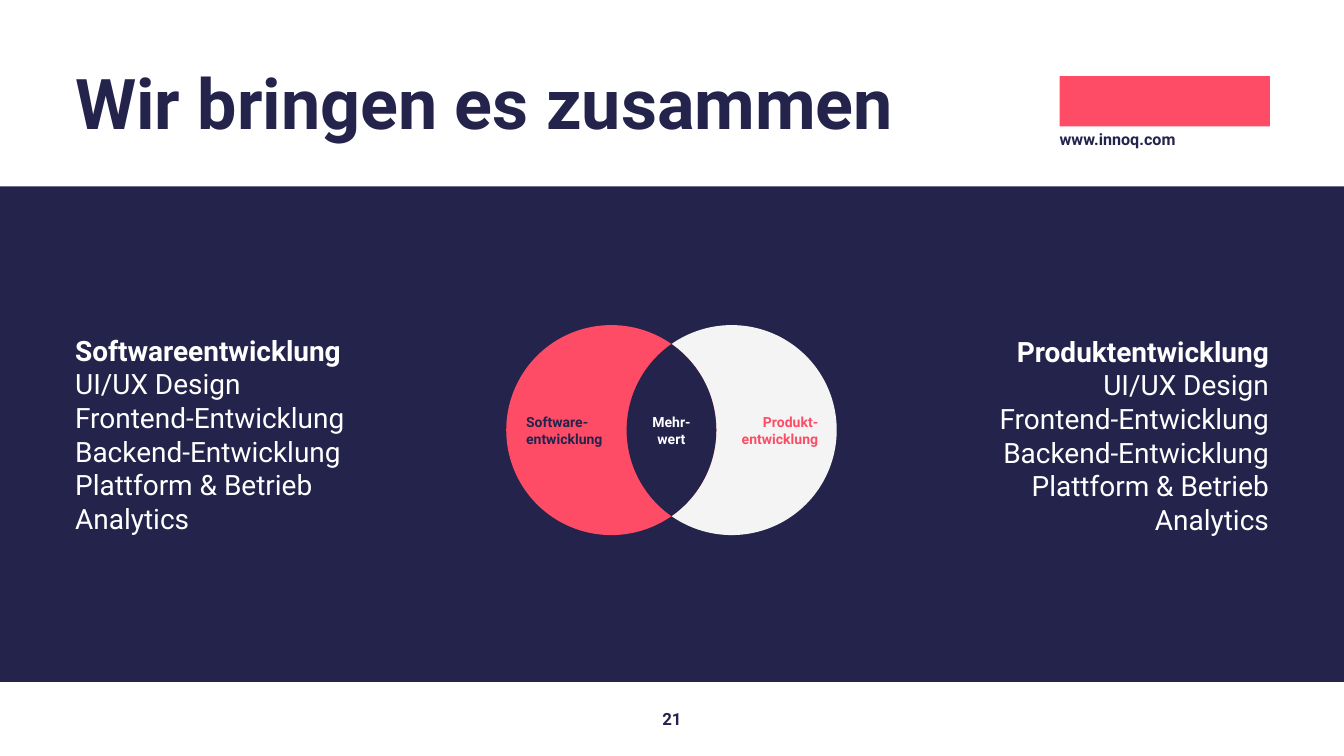
"""Build the slide that brings software and product development together."""
from math import acos, cos, pi, sin

from pptx import Presentation
from pptx.dml.color import RGBColor
from pptx.enum.shapes import MSO_SHAPE
from pptx.enum.text import MSO_ANCHOR, PP_ALIGN
from pptx.util import Pt

LEFT, CENTER, RIGHT = PP_ALIGN.LEFT, PP_ALIGN.CENTER, PP_ALIGN.RIGHT
TOP, MIDDLE = MSO_ANCHOR.TOP, MSO_ANCHOR.MIDDLE
RECTANGLE, OVAL = MSO_SHAPE.RECTANGLE, MSO_SHAPE.OVAL

FONT = "Roboto"
COLORS = {"navy": "23234C", "coral": "FE4C66", "pale": "F3F4F3", "white": "FFFFFF"}

TITLE = "Wir bringen es zusammen"
WEB_ADDRESS = "www.innoq.com"
PAGE_NUMBER = "21"
SKILLS = [
    "UI/UX Design",
    "Frontend-Entwicklung",
    "Backend-Entwicklung",
    "Plattform & Betrieb",
    "Analytics",
]
SOFTWARE_LABEL = ["Software-", "entwicklung"]
VALUE_LABEL = ["Mehr-", "wert"]
PRODUCT_LABEL = ["Produkt-", "entwicklung"]

PAGE_WIDTH, PAGE_HEIGHT = 1919.5, 1080
MARGIN = 107.3
CONTENT_WIDTH = PAGE_WIDTH - 2 * MARGIN
BAND_TOP, BAND_HEIGHT = 266.4, 707.6
BAND_BOTTOM = BAND_TOP + BAND_HEIGHT
COLUMN_WIDTH = 616
LOGO_LEFT, LOGO_TOP, LOGO_WIDTH, LOGO_HEIGHT = 1513.4, 108.7, 300.3, 72

RADIUS = 150
SOFTWARE_X, PRODUCT_X, CIRCLE_Y = 873, 1045, 614.4
LENS_LEFT, LENS_RIGHT = PRODUCT_X - RADIUS, SOFTWARE_X + RADIUS
LABEL_HEIGHT, LABEL_INSET = 68.4, 28.4
LABEL_TOP = CIRCLE_Y - LABEL_HEIGHT / 2
ARC_STEPS = 48


def paint(shape, color):
    shape.shadow.inherit = False
    shape.fill.solid()
    shape.fill.fore_color.rgb = RGBColor.from_string(COLORS[color])
    shape.line.fill.background()


def add_block(page, kind, left, top, width, height, color):
    paint(page.shapes.add_shape(kind, Pt(left), Pt(top), Pt(width), Pt(height)), color)


def add_lens(page):
    half_angle = acos((PRODUCT_X - SOFTWARE_X) / 2 / RADIUS)
    points = []
    for center_x, start in ((SOFTWARE_X, 0), (PRODUCT_X, pi)):
        for step in range(ARC_STEPS):
            angle = start + half_angle * (2 * step / ARC_STEPS - 1)
            points.append((Pt(center_x + RADIUS * cos(angle)),
                           Pt(CIRCLE_Y + RADIUS * sin(angle))))
    builder = page.shapes.build_freeform(*points[0])
    builder.add_line_segments(points[1:], close=True)
    paint(builder.convert_to_shape(), "navy")


def add_text(page, lines, left, top, width, height, size, color, align=LEFT,
             anchor=MIDDLE, bold_lines=None, inset_left=0, inset_right=0, spacing=1.0):
    box = page.shapes.add_textbox(Pt(left), Pt(top), Pt(width), Pt(height))
    frame = box.text_frame
    frame.word_wrap = True
    frame.vertical_anchor = anchor
    frame.margin_top = frame.margin_bottom = 0
    frame.margin_left, frame.margin_right = Pt(inset_left), Pt(inset_right)
    for index, line in enumerate(lines):
        para = frame.paragraphs[0] if index == 0 else frame.add_paragraph()
        para.alignment = align
        para.line_spacing = spacing
        span = para.add_run()
        span.text = line
        span.font.name = FONT
        span.font.size = Pt(size)
        span.font.bold = bold_lines is None or index < bold_lines
        span.font.color.rgb = RGBColor.from_string(COLORS[color])


def main():
    deck = Presentation()
    deck.slide_width, deck.slide_height = Pt(PAGE_WIDTH), Pt(PAGE_HEIGHT)
    page = deck.slides.add_slide(deck.slide_layouts[6])

    add_block(page, RECTANGLE, 0, BAND_TOP, PAGE_WIDTH, BAND_HEIGHT, "navy")
    add_text(page, [TITLE], MARGIN, 98.6, CONTENT_WIDTH, 95, 100, "navy",
             anchor=TOP, spacing=0.9)
    add_text(page, [PAGE_NUMBER], MARGIN, BAND_BOTTOM, CONTENT_WIDTH,
             PAGE_HEIGHT - BAND_BOTTOM, 24, "navy", CENTER)

    for center_x, color in ((PRODUCT_X, "pale"), (SOFTWARE_X, "coral")):
        add_block(page, OVAL, center_x - RADIUS, CIRCLE_Y - RADIUS,
                  2 * RADIUS, 2 * RADIUS, color)
    add_lens(page)

    columns = [
        ("Softwareentwicklung", MARGIN, BAND_TOP, LEFT),
        ("Produktentwicklung", PAGE_WIDTH - MARGIN - COLUMN_WIDTH, BAND_TOP + 1.4, RIGHT),
    ]
    for heading, left, top, align in columns:
        add_text(page, [heading, *SKILLS], left, top, COLUMN_WIDTH, BAND_HEIGHT,
                 40, "white", align, bold_lines=1)

    add_block(page, RECTANGLE, LOGO_LEFT, LOGO_TOP, LOGO_WIDTH, LOGO_HEIGHT, "coral")
    add_text(page, [WEB_ADDRESS], LOGO_LEFT, 184.3, 283.7, 38.2, 23, "navy", anchor=TOP)

    side_width = LENS_LEFT - SOFTWARE_X + RADIUS
    labels = [
        (SOFTWARE_LABEL, SOFTWARE_X - RADIUS, side_width, "navy", LEFT, LABEL_INSET, 0),
        (PRODUCT_LABEL, LENS_RIGHT + 2, side_width, "coral", RIGHT, 0, LABEL_INSET),
        (VALUE_LABEL, LENS_LEFT, LENS_RIGHT - LENS_LEFT, "white", CENTER, 0, 0),
    ]
    for lines, left, width, color, align, inset_left, inset_right in labels:
        add_text(page, lines, left, LABEL_TOP, width, LABEL_HEIGHT, 20, color, align,
                 inset_left=inset_left, inset_right=inset_right)

    deck.save("out.pptx")


if __name__ == "__main__":
    main()
